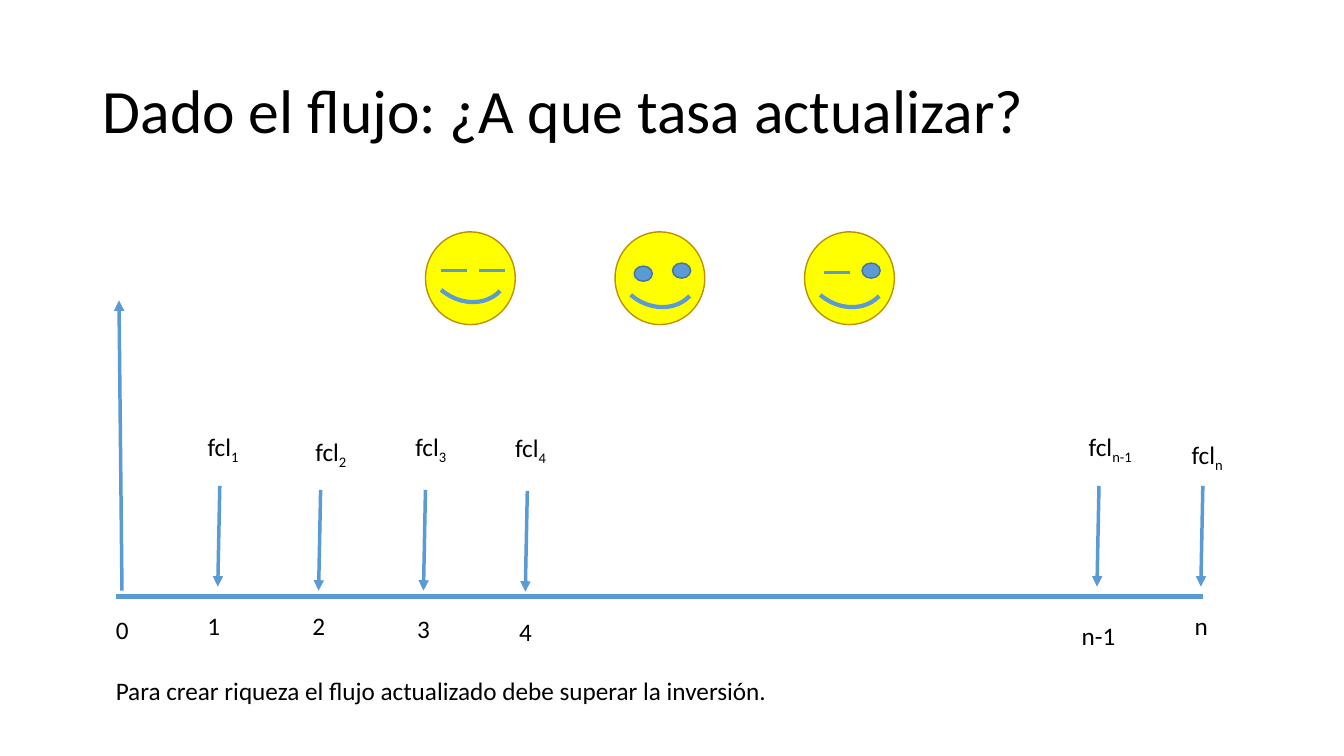
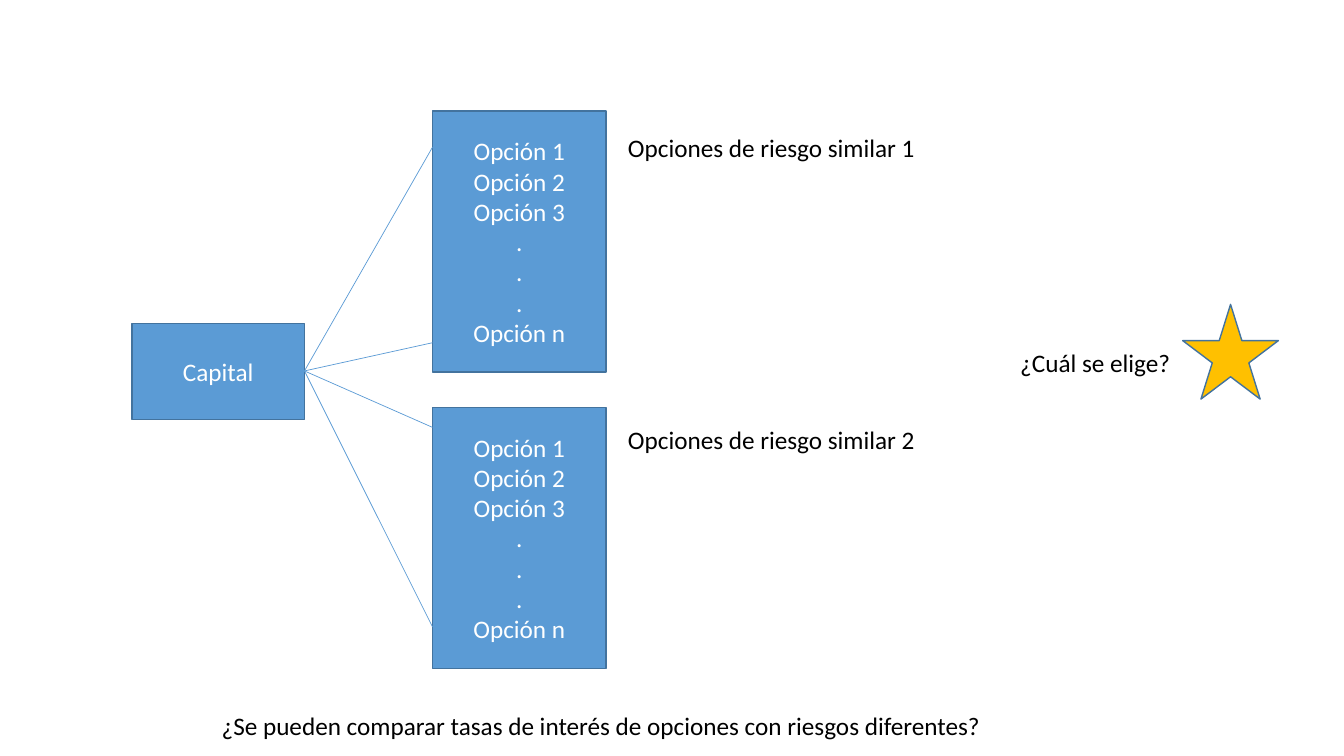
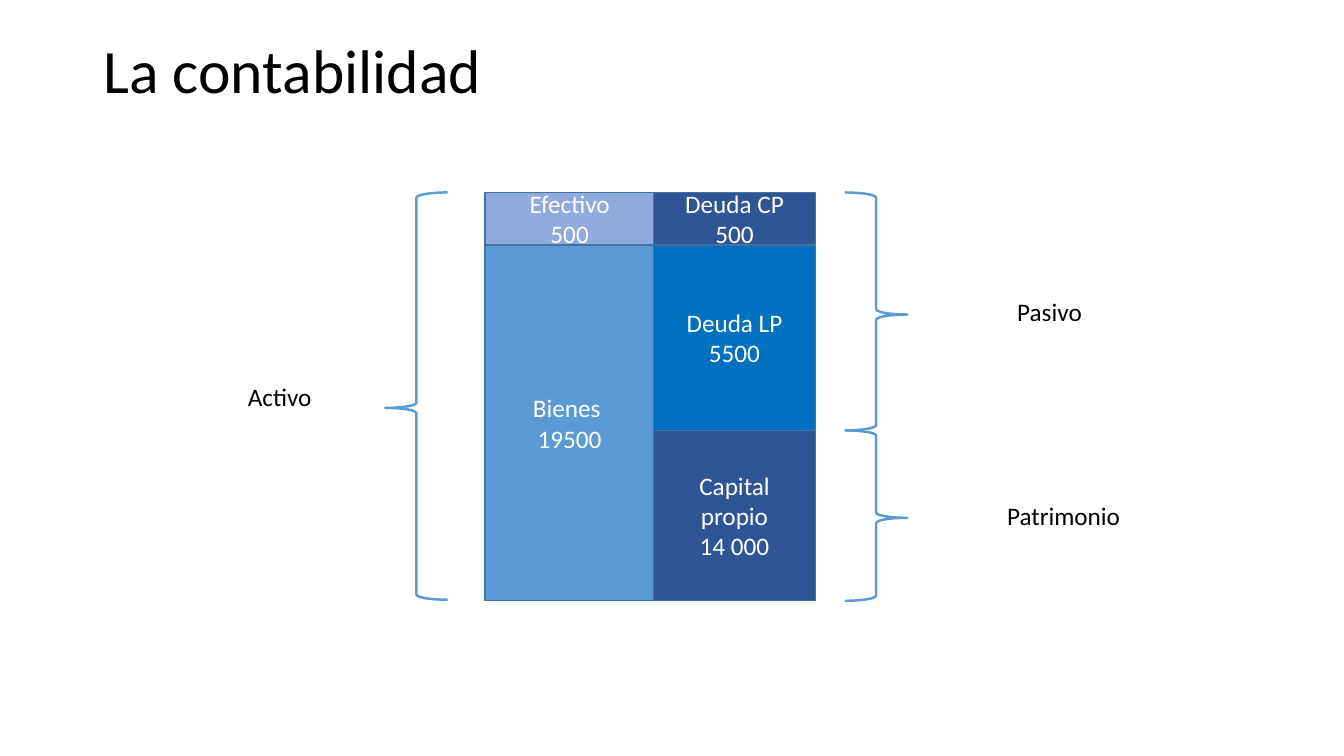
import pptx
import pptx.dml.color
import pptx.enum.shapes
import pptx.enum.text
import pptx.oxml.ns
import pptx.util
from lxml import etree

RGBColor = pptx.dml.color.RGBColor
Inches = pptx.util.Inches
Pt = pptx.util.Pt
SHAPE = pptx.enum.shapes.MSO_SHAPE
ALIGN = pptx.enum.text.PP_ALIGN
ANCHOR = pptx.enum.text.MSO_ANCHOR
AUTO_SIZE = pptx.enum.text.MSO_AUTO_SIZE
qn = pptx.oxml.ns.qn

BLACK = RGBColor(0x00, 0x00, 0x00)
WHITE = RGBColor(0xFF, 0xFF, 0xFF)
BLUE = RGBColor(0x5B, 0x9B, 0xD5)
OUTLINE = RGBColor(0x43, 0x73, 0x9E)
STRONG_BLUE = RGBColor(0x00, 0x70, 0xC0)
NAVY = RGBColor(0x2F, 0x55, 0x97)
PALE_BLUE = RGBColor(0x8F, 0xAA, 0xDC)
YELLOW = RGBColor(0xFF, 0xFF, 0x00)
DARK_GOLD = RGBColor(0xBF, 0x90, 0x00)
GOLD = RGBColor(0xFF, 0xC0, 0x00)


class Deck:
    FONT = "Calibri"
    TITLE_SIZE = 44
    BODY_SIZE = 18

    def __init__(self):
        self.prs = pptx.Presentation()
        self.prs.slide_width = Inches(13.33)
        self.prs.slide_height = Inches(7.5)
        self.slide = None

    def new_slide(self):
        self.slide = self.prs.slides.add_slide(self.prs.slide_layouts[6])

    def add_run(self, paragraph, text, color, size=BODY_SIZE, subscript=False):
        run = paragraph.add_run()
        run.text = text
        run.font.name = self.FONT
        run.font.size = Pt(size)
        run.font.color.rgb = color
        if subscript:
            run.font._element.set("baseline", "-25000")

    def add_box(self, left, top, width, height):
        return self.slide.shapes.add_textbox(
            Inches(left), Inches(top), Inches(width), Inches(height)).text_frame

    def title(self, text, left, top):
        frame = self.add_box(left, top, 11.5, 1.45)
        frame.word_wrap = True
        frame.vertical_anchor = ANCHOR.MIDDLE
        frame.paragraphs[0].line_spacing = 0.9
        self.add_run(frame.paragraphs[0], text, BLACK, self.TITLE_SIZE)

    def label(self, text, left, top, width, subscript=""):
        frame = self.add_box(left, top, width, 0.4)
        frame.word_wrap = False
        frame.auto_size = AUTO_SIZE.SHAPE_TO_FIT_TEXT
        self.add_run(frame.paragraphs[0], text, BLACK)
        if subscript:
            self.add_run(frame.paragraphs[0], subscript, BLACK, subscript=True)

    def line(self, start, end, weight, arrow=False):
        connector = self.slide.shapes.add_connector(
            pptx.enum.shapes.MSO_CONNECTOR.STRAIGHT,
            *(Inches(value) for value in (*start, *end)))
        connector.line.color.rgb = BLUE
        connector.line.width = Pt(weight)
        if arrow:
            outline = connector.line._get_or_add_ln()
            etree.SubElement(outline, qn("a:tailEnd"), type="triangle")
        etree.SubElement(connector._element.spPr, qn("a:effectLst"))

    def shape(self, kind, left, top, width, height, fill=None,
              outline=OUTLINE, weight=1, adjustments=()):
        shape = self.slide.shapes.add_shape(
            kind, Inches(left), Inches(top), Inches(width), Inches(height))
        shape.shadow.inherit = False
        if fill is None:
            shape.fill.background()
        else:
            shape.fill.solid()
            shape.fill.fore_color.rgb = fill
        shape.line.color.rgb = outline
        shape.line.width = Pt(weight)
        for index, value in enumerate(adjustments):
            shape.adjustments[index] = value
        return shape

    def block(self, lines, left, top, width, height, fill=BLUE):
        """Rectangle with one centred paragraph for each line."""
        frame = self.shape(SHAPE.RECTANGLE, left, top, width, height, fill).text_frame
        frame.word_wrap = True
        frame.vertical_anchor = ANCHOR.MIDDLE
        for index, text in enumerate(lines):
            paragraph = frame.add_paragraph() if index else frame.paragraphs[0]
            paragraph.alignment = ALIGN.CENTER
            self.add_run(paragraph, text, WHITE)

    def brace(self, kind, left, top, height, tip):
        self.shape(kind, left, top, 0.62, height, outline=BLUE, weight=1.75,
                   adjustments=(0.083, tip))

    def face(self, left, smile_top, eyes):
        """Round face; each eye is (is_open, offset from the face, top)."""
        self.shape(SHAPE.OVAL, left, 2.3, 0.89, 0.92, YELLOW, DARK_GOLD)
        smile = self.shape(SHAPE.ARC, left + 0.02, smile_top, 0.78, 0.9,
                           outline=BLUE, weight=3, adjustments=(163.22, 0))
        smile.rotation = 130.8
        for is_open, offset, top in eyes:
            eye_left = left + offset
            if is_open:
                self.shape(SHAPE.OVAL, eye_left, top, 0.18, 0.15, BLUE)
            else:
                self.line((eye_left, top), (eye_left + 0.26, top), 2)


def cash_flow_slide(deck):
    deck.new_slide()
    deck.title("Dado el flujo: ¿A que tasa actualizar?", 0.92, 0.4)

    deck.line((1.15, 5.92), (11.93, 5.92), 3.5)
    deck.line((1.21, 5.86), (1.18, 2.98), 2.5, arrow=True)
    deck.label("0", 1.05, 6.05, 0.33)
    # period, its left, top, width; flow left, top, width; arrow x, top
    periods = [
        ("1", 1.96, 6.01, 0.33, 1.96, 4.23, 0.52, 2.18, 4.82),
        ("2", 3.0, 6.01, 0.33, 3.03, 4.28, 0.52, 3.18, 4.86),
        ("3", 4.04, 6.04, 0.33, 4.02, 4.23, 0.52, 4.22, 4.86),
        ("4", 5.05, 6.07, 0.33, 5.01, 4.24, 0.52, 5.23, 4.87),
        ("n-1", 10.63, 6.1, 0.54, 10.7, 4.23, 0.66, 10.9, 4.82),
        ("n", 11.75, 6.01, 0.34, 11.72, 4.31, 0.53, 11.93, 4.82),
    ]
    for (period, left, top, width, flow_left, flow_top, flow_width,
         arrow_x, arrow_top) in periods:
        deck.line((arrow_x, arrow_top), (arrow_x - 0.02, arrow_top + 1), 2.5, arrow=True)
        deck.label(period, left, top, width)
        deck.label("fcl", flow_left, flow_top, flow_width, subscript=period)
    deck.label("Para crear riqueza el flujo actualizado debe superar la inversión.",
               1.05, 6.65, 6.67)

    faces = [
        (2.13, [(False, 0.15, 2.68), (False, 0.53, 2.68)]),
        (2.18, [(True, 0.19, 2.64), (True, 0.57, 2.61)]),
        (2.18, [(False, 0.19, 2.7), (True, 0.57, 2.61)]),
    ]
    for index, (smile_top, eyes) in enumerate(faces):
        deck.face(4.22 + 1.88 * index, smile_top, eyes)


def options_slide(deck):
    deck.new_slide()
    deck.block(["Capital"], 1.31, 3.21, 1.71, 0.95)
    options = ["Opción 1", "Opción 2", "Opción 3", ".", ".", ".", "Opción n"]
    # group top, label top, heights reached by the two branches
    groups = [(1.1, 1.26, (1.46, 3.4)), (4.04, 4.16, (4.24, 6.22))]
    for number, (top, label_top, branch_ends) in enumerate(groups, 1):
        deck.block(options, 4.29, top, 1.72, 2.59)
        deck.label(f"Opciones de riesgo similar {number}", 6.13, label_top, 3.08)
        for branch_end in branch_ends:
            deck.line((3.02, 3.68), (4.29, branch_end), 0.5)

    deck.shape(SHAPE.STAR_5_POINT, 11.73, 3.02, 0.95, 0.94, GOLD)
    deck.label("¿Cuál se elige?", 10.02, 3.4, 1.71)
    deck.label("¿Se pueden comparar tasas de interés de opciones con riesgos diferentes?",
               2.1, 7, 7.76)


def accounting_slide(deck):
    deck.new_slide()
    deck.title("La contabilidad", 0.93, 0)

    top = 1.91
    columns = [
        (4.81, 1.68, [(["Efectivo", "500"], 0.52, PALE_BLUE),
                      (["Bienes ", "19500"], 3.53, BLUE)]),
        (6.48, 1.61, [(["Deuda CP", "500"], 0.52, NAVY),
                      (["Deuda LP", "5500"], 1.84, STRONG_BLUE),
                      (["Capital propio", "14 000"], 1.69, NAVY)]),
    ]
    for left, width, accounts in columns:
        account_top = top
        for lines, height, fill in accounts:
            deck.block(lines, left, account_top, width, height, fill)
            account_top += height

    deck.brace(SHAPE.LEFT_BRACE, 3.82, top, 4.04, 0.529)
    deck.brace(SHAPE.RIGHT_BRACE, 8.38, top, 2.36, 0.513)
    deck.brace(SHAPE.RIGHT_BRACE, 8.38, top + 2.36, 1.69, 0.513)
    deck.label("Activo", 2.36, 3.73, 0.84)
    deck.label("Pasivo", 9.99, 2.89, 0.85)
    deck.label("Patrimonio", 9.89, 4.91, 1.33)


def main():
    deck = Deck()
    cash_flow_slide(deck)
    options_slide(deck)
    accounting_slide(deck)
    deck.prs.save("out.pptx")


if __name__ == "__main__":
    main()
